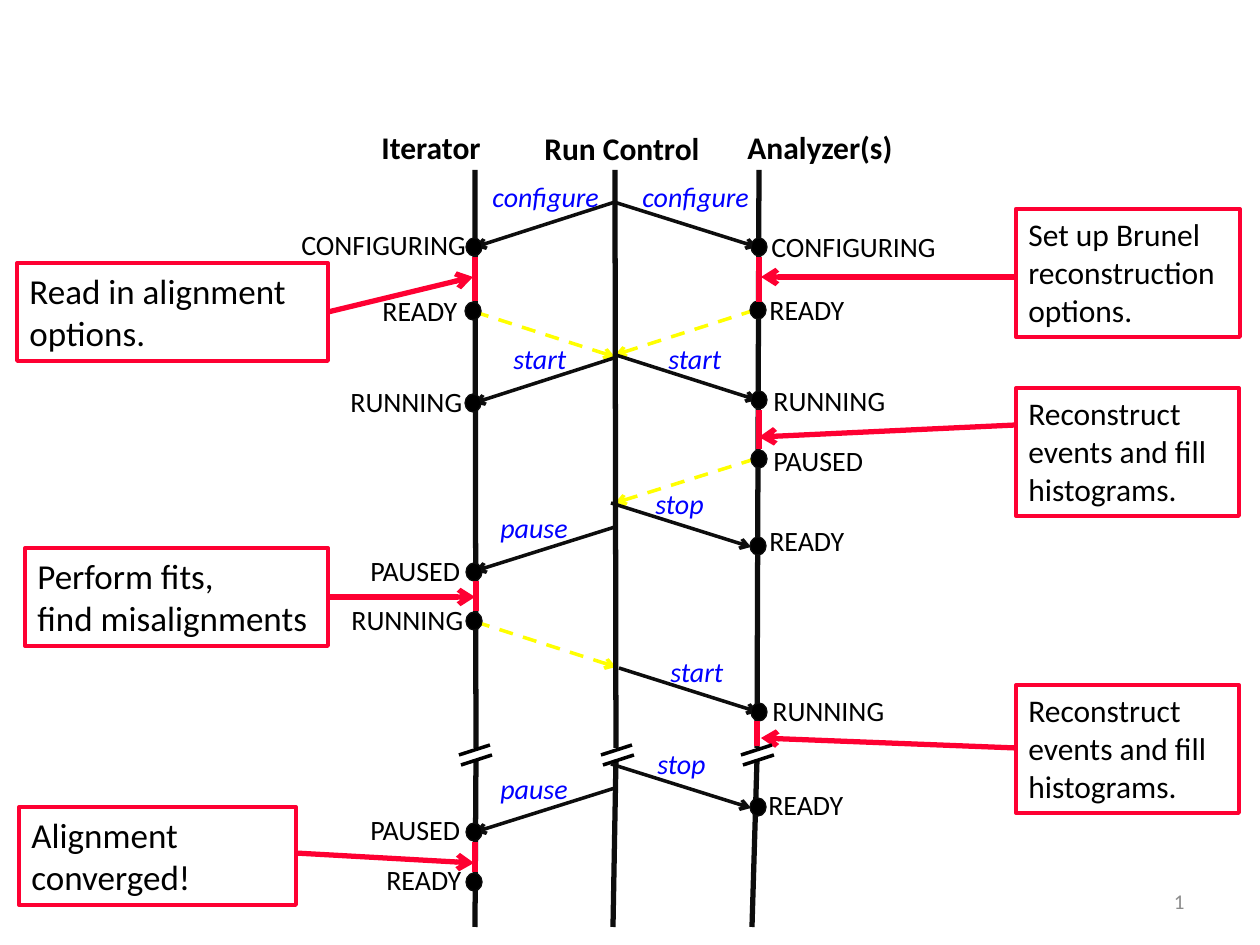
from lxml import etree
from pptx import Presentation
from pptx.dml.color import RGBColor
from pptx.enum.dml import MSO_LINE
from pptx.enum.shapes import MSO_CONNECTOR, MSO_SHAPE
from pptx.enum.text import MSO_ANCHOR, MSO_AUTO_SIZE, PP_ALIGN
from pptx.oxml.ns import qn
from pptx.util import Emu, Pt

STRAIGHT = MSO_CONNECTOR.STRAIGHT
RECTANGLE, OVAL = MSO_SHAPE.RECTANGLE, MSO_SHAPE.OVAL
DASH = MSO_LINE.DASH
TOP, MIDDLE = MSO_ANCHOR.TOP, MSO_ANCHOR.MIDDLE
GROW = MSO_AUTO_SIZE.SHAPE_TO_FIT_TEXT
LEFT, RIGHT = PP_ALIGN.LEFT, PP_ALIGN.RIGHT
BLACK, INK, RED, BLUE, YELLOW, GRAY = "000000", "0D0D0D", "FE0032", "0000FF", "FFFF00", "8C8C8C"


def px(length):
    return Emu(round(length * 914400 / 126))


def rgb(code):
    return RGBColor.from_string(code)


class SequenceSlide:
    """Draws the parts of a sequence diagram on one slide in one style."""

    font = "Calibri"
    label_height = 46

    def __init__(self, slide):
        self.slide = slide

    def line(self, start, end, color=INK, width=2, arrow=False, dash=None):
        ends = [px(value) for value in (*start, *end)]
        connector = self.slide.shapes.add_connector(STRAIGHT, *ends)
        connector.line.color.rgb = rgb(color)
        connector.line.width = Pt(width)
        if dash:
            connector.line.dash_style = dash
        if arrow:
            outline = connector._element.spPr.find(qn("a:ln"))
            etree.SubElement(outline, qn("a:tailEnd"), type="arrow")
        etree.SubElement(connector._element.spPr, qn("a:effectLst"))

    def set_text(self, frame, text, size, color=BLACK, bold=False, italic=False, align=LEFT):
        frame.word_wrap = True
        frame.text = text
        for paragraph in frame.paragraphs:
            paragraph.alignment = align
            font = paragraph.font
            font.name, font.size = self.font, Pt(size)
            font.bold, font.italic = bold, italic
            font.color.rgb = rgb(color)

    def label(self, text, left, top, width, size=16, **style):
        box = self.slide.shapes.add_textbox(px(left), px(top), px(width), px(self.label_height))
        self.set_text(box.text_frame, text, size, **style)
        box.text_frame.auto_size = GROW

    def shape(self, kind, left, top, width, height, outline, weight):
        shape = self.slide.shapes.add_shape(kind, px(left), px(top), px(width), px(height))
        shape.shadow.inherit = False
        shape.line.color.rgb = rgb(outline)
        shape.line.width = Pt(weight)
        return shape

    def callout(self, text, left, top, width, height, size, start, end):
        box = self.shape(RECTANGLE, left, top, width, height, RED, 2.25)
        box.fill.background()
        self.set_text(box.text_frame, text, size)
        box.text_frame.vertical_anchor = TOP
        box.text_frame.auto_size = GROW
        self.line(start, end, RED, 3, arrow=True)

    def state(self, text, left, top, width, dot_left, dot_top):
        dot = self.shape(OVAL, dot_left, dot_top, 16, 18, INK, 0.75)
        dot.fill.solid()
        dot.fill.fore_color.rgb = rgb(BLACK)
        self.label(text, left, top, width)

    def message(self, text, left, top, width, start, end):
        self.line(start, end, arrow=True)
        self.label(text, left, top, width, color=BLUE, italic=True)

    def page_number(self, left, top, width, height):
        box = self.slide.shapes.add_textbox(px(left), px(top), px(width), px(height))
        self.set_text(box.text_frame, "1", 12, color=GRAY, align=RIGHT)
        box.text_frame.vertical_anchor = MIDDLE


presentation = Presentation()
presentation.slide_width, presentation.slide_height = px(1260), px(945)
diagram = SequenceSlide(presentation.slides.add_slide(presentation.slide_layouts[6]))

replies = [
    ((476, 622), (616, 667)),
    ((755, 459), (615, 503)),
    ((755, 310), (615, 355)),
    ((475, 312), (615, 357)),
]
for start, end in replies:
    diagram.line(start, end, YELLOW, arrow=True, dash=DASH)

diagram.page_number(903, 876, 294, 50)

callouts = [
    ("Set up Brunel reconstruction options.", 1016, 209, 224, 128, 18, (1016, 277), (761, 277)),
    ("Read in alignment options.", 17, 263, 311, 98, 20, (328, 312), (473, 277)),
    ("Reconstruct events and fill histograms.", 1016, 388, 223, 128, 18, (1016, 425), (759, 437)),
    ("Perform fits,\nfind misalignments", 25, 548, 303, 98, 20, (328, 597), (475, 597)),
    ("Reconstruct events and fill histograms.", 1016, 685, 223, 128, 18, (1016, 748), (761, 738)),
    ("Alignment converged!", 19, 807, 277, 98, 20, (295, 853), (474, 863)),
]
for callout in callouts:
    diagram.callout(*callout)

lifelines = [
    ("Iterator", 369, 122, 168, (475, 476), (476, 475), 459),
    ("Run Control", 532, 123, 242, (615, 616), (616, 613), 601),
    ("Analyzer(s)", 735, 122, 214, (759, 757), (757, 752), 741),
]
for role, left, top, width, upper, lower, gap in lifelines:
    diagram.label(role, left, top, width, size=18, bold=True)
    diagram.line((upper[0], 170), (upper[1], 748), width=3)
    diagram.line((lower[0], 760), (lower[1], 927), width=3)
    for shift in (0, 1):
        x, y = gap + 2 * shift, 755 + 10 * shift
        diagram.line((x, y), (x + 31, y - 10), BLACK)

messages = [
    ("configure", 480, 173, 134, (615, 202), (475, 247)),
    ("configure", 630, 173, 190, (614, 202), (757, 247)),
    ("start", 501, 335, 134, (614, 358), (474, 403)),
    ("start", 656, 335, 134, (616, 355), (757, 400)),
    ("stop", 643, 480, 134, (611, 503), (751, 547)),
    ("pause", 488, 504, 134, (615, 527), (475, 571)),
    ("start", 658, 648, 83, (619, 668), (758, 712)),
    ("stop", 645, 740, 134, (611, 764), (751, 808)),
    ("pause", 488, 765, 134, (615, 788), (475, 832)),
]
for message in messages:
    diagram.message(*message)

states = [
    ("CONFIGURING", 289, 221, 190, 466, 238),
    ("READY", 370, 287, 108, 465, 302),
    ("RUNNING", 338, 378, 142, 465, 394),
    ("PAUSED", 358, 547, 142, 466, 563),
    ("RUNNING", 339, 596, 142, 466, 612),
    ("PAUSED", 358, 806, 142, 466, 823),
    ("READY", 374, 856, 142, 466, 873),
    ("CONFIGURING", 759, 223, 190, 751, 238),
    ("READY", 757, 286, 108, 750, 301),
    ("RUNNING", 761, 377, 142, 751, 391),
    ("PAUSED", 761, 437, 161, 751, 450),
    ("READY", 757, 517, 161, 750, 537),
    ("RUNNING", 760, 687, 142, 751, 703),
    ("READY", 756, 781, 161, 750, 798),
]
for state in states:
    diagram.state(*state)

busy_periods = [
    (475, 257, 301),
    (759, 257, 302),
    (476, 581, 611),
    (759, 410, 449),
    (475, 842, 872),
    (757, 721, 746),
]
for x, begin, finish in busy_periods:
    diagram.line((x, begin), (x, finish), RED, 3)

presentation.save("out.pptx")
